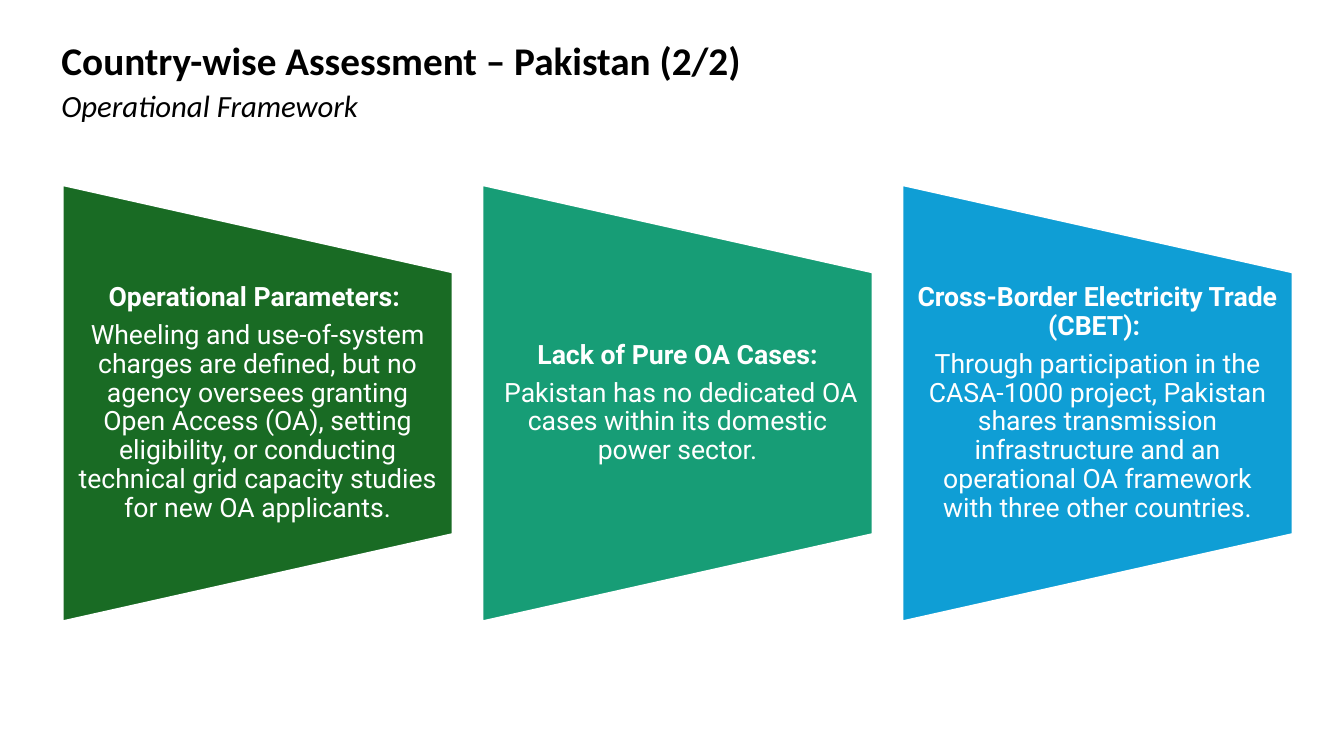
import pptx
import pptx.dml.color
import pptx.enum.shapes
import pptx.enum.text
import pptx.util

RGBColor = pptx.dml.color.RGBColor
ALIGN = pptx.enum.text.PP_ALIGN
ANCHOR = pptx.enum.text.MSO_ANCHOR
AUTO_SIZE = pptx.enum.text.MSO_AUTO_SIZE
Pt = pptx.util.Pt

PX = 9144  # 100 px to the inch
BLACK = RGBColor(0x00, 0x00, 0x00)
WHITE = RGBColor(0xFF, 0xFF, 0xFF)
GREEN = RGBColor(0x19, 0x6B, 0x24)
TEAL = RGBColor(0x17, 0x9D, 0x76)
BLUE = RGBColor(0x0F, 0x9E, 0xD5)


def px(*lengths):
    return [round(length * PX) for length in lengths]


def write(paragraph, text, color, paragraph_format, font_format):
    for name, value in paragraph_format.items():
        setattr(paragraph, name, value)
    run = paragraph.add_run()
    run.text = text
    for name, value in font_format.items():
        setattr(run.font, name, value)
    run.font.color.rgb = color


deck = pptx.Presentation()
deck.slide_width, deck.slide_height = px(1333, 750)
slide = deck.slides.add_slide(deck.slide_layouts[5])

# Heading
title = slide.shapes.title
title.left, title.top, title.width, title.height = px(51, 44, 1231, 37)
title.text_frame.auto_size = AUTO_SIZE.NONE
title.text_frame.vertical_anchor = ANCHOR.MIDDLE
write(title.text_frame.paragraphs[0], "Country-wise Assessment – Pakistan (2/2)", BLACK,
      {"alignment": ALIGN.LEFT, "line_spacing": 0.9},
      {"name": "Calibri", "size": Pt(28), "bold": True})

subtitle = slide.shapes.add_textbox(*px(51, 81, 1231, 47))
subtitle.text_frame.word_wrap = True
subtitle.text_frame.auto_size = AUTO_SIZE.SHAPE_TO_FIT_TEXT
write(subtitle.text_frame.paragraphs[0], "Operational Framework", BLACK,
      {"alignment": ALIGN.LEFT},
      {"name": "Calibri", "size": Pt(22), "italic": True})

# Three findings, each a trapezoid turned on its side with upright text over it
findings = [
    (GREEN, "Operational Parameters: ",
     "Wheeling and use-of-system charges are defined, but no agency oversees granting "
     "Open Access (OA), setting eligibility, or conducting technical grid capacity "
     "studies for new OA applicants."),
    (TEAL, "Lack of Pure OA Cases:",
     " Pakistan has no dedicated OA cases within its domestic power sector."),
    (BLUE, "Cross-Border Electricity Trade (CBET): ",
     "Through participation in the CASA-1000 project, Pakistan shares transmission "
     "infrastructure and an operational OA framework with three other countries."),
]
FIRST_LEFT, STEP = 62, 416.5
PANEL_WIDTH, PANEL_HEIGHT, PANEL_MIDDLE = 387, 433, 400
TEXT_HEIGHT = 260
text_box_format = {
    "word_wrap": True, "vertical_anchor": ANCHOR.MIDDLE,
    "margin_left": 13 * PX, "margin_right": 13 * PX,
    "margin_top": 0, "margin_bottom": 0,
}
finding_paragraph = {"alignment": ALIGN.CENTER, "line_spacing": 0.9, "space_after": Pt(6.65)}

for index, (color, heading, detail) in enumerate(findings):
    left = FIRST_LEFT + index * STEP
    panel = slide.shapes.add_shape(
        pptx.enum.shapes.MSO_SHAPE.FLOWCHART_MANUAL_OPERATION,
        *px(left - (PANEL_HEIGHT - PANEL_WIDTH) / 2, PANEL_MIDDLE - PANEL_WIDTH / 2,
            PANEL_HEIGHT, PANEL_WIDTH))
    panel.rotation = 270
    panel.shadow.inherit = False
    panel.fill.solid()
    panel.fill.fore_color.rgb = color
    panel.line.color.rgb = WHITE
    panel.line.width = Pt(1.5)

    finding = slide.shapes.add_textbox(
        *px(left, PANEL_MIDDLE - TEXT_HEIGHT / 2, PANEL_WIDTH, TEXT_HEIGHT)).text_frame
    for name, value in text_box_format.items():
        setattr(finding, name, value)
    write(finding.paragraphs[0], heading, WHITE, finding_paragraph,
          {"name": "Roboto", "size": Pt(19), "bold": True})
    write(finding.add_paragraph(), detail, WHITE, finding_paragraph,
          {"name": "Roboto", "size": Pt(19), "bold": False})

deck.save("out.pptx")
